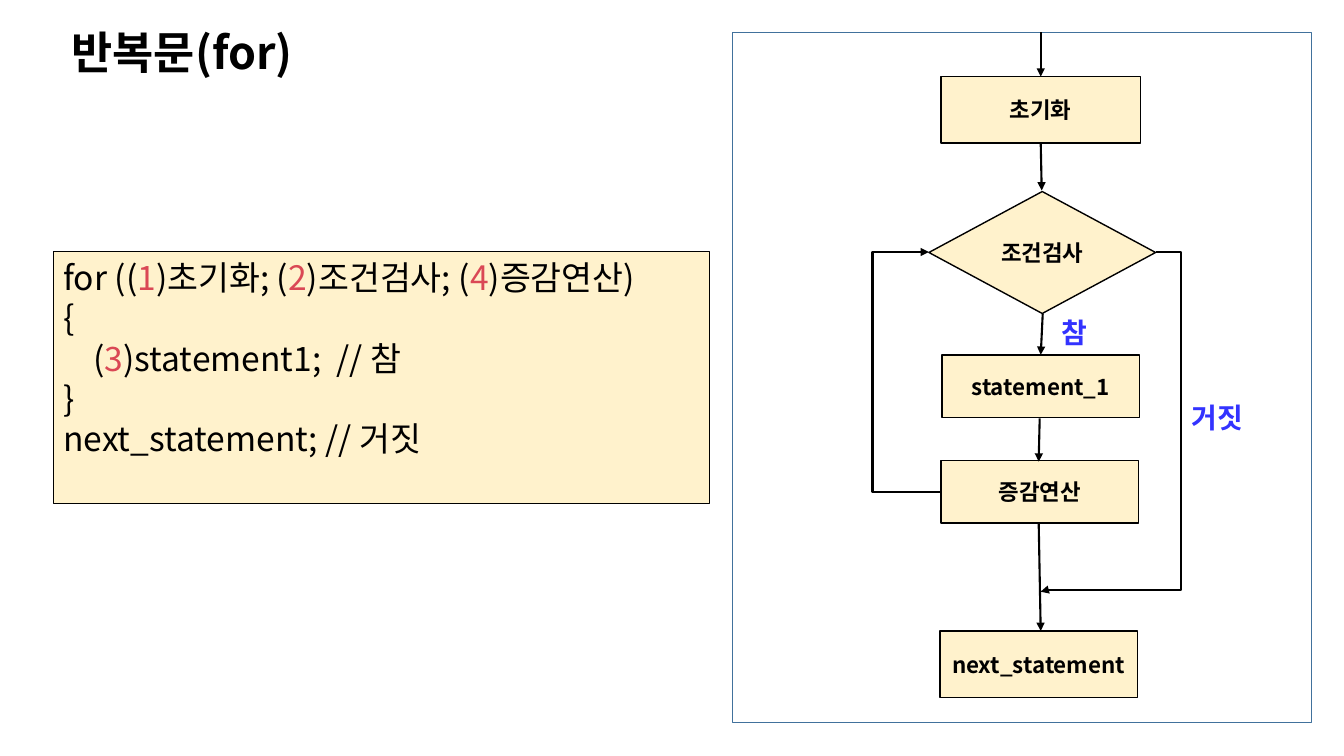
"""Slide on the for loop: its syntax beside its flowchart."""
from dataclasses import dataclass

from lxml.etree import SubElement
from pptx import Presentation
from pptx.dml.color import RGBColor
from pptx.enum.shapes import MSO_CONNECTOR, MSO_SHAPE
from pptx.enum.text import MSO_ANCHOR, MSO_AUTO_SIZE, PP_ALIGN
from pptx.oxml.ns import qn
from pptx.util import Inches, Pt


@dataclass(frozen=True)
class Theme:
    black: RGBColor = RGBColor(0, 0, 0)
    cream: RGBColor = RGBColor(0xFF, 0xF2, 0xCC)
    frame: RGBColor = RGBColor(0x41, 0x71, 0x9C)
    blue: RGBColor = RGBColor(0x33, 0x33, 0xFF)
    red: RGBColor = RGBColor(0xDA, 0x48, 0x55)
    body_font: str = "Noto Sans CJK KR"
    title_font: str = "Noto Sans CJK TC"
    title: Pt = Pt(32)
    code: Pt = Pt(24)
    branch: Pt = Pt(20)
    step: Pt = Pt(16)


T = Theme()


def style(p, size, color=T.black, bold=True, name=T.body_font):
    """Set one paragraph's Latin and East Asian type."""
    f = p.font
    f.size, f.bold, f.name = size, bold, name
    f.color.rgb = color
    SubElement(p._p.pPr.find(qn("a:defRPr")), qn("a:ea"), typeface=name)


def add_box(kind, x, y, w, h, fill=T.cream, line=T.black, width=1):
    """Add an outlined shape without a shadow."""
    sp = s.shapes.add_shape(kind, Inches(x), Inches(y), Inches(w), Inches(h))
    sp.shadow.inherit = False
    if fill is None:
        sp.fill.background()
    else:
        sp.fill.solid()
        sp.fill.fore_color.rgb = fill
    sp.line.color.rgb = line
    sp.line.width = Pt(width)
    return sp


prs = Presentation()
prs.slide_width, prs.slide_height = Inches(13.34), Inches(7.5)
s = prs.slides.add_slide(prs.slide_layouts[5])

add_box(MSO_SHAPE.RECTANGLE, 7.27, 0.32, 5.75, 6.85, None, T.frame)

title = s.shapes.title
title.left, title.top = Inches(0.51), Inches(0.15)
title.width, title.height = Inches(5.97), Inches(0.8)
tf = title.text_frame
tf.text = "반복문(for)"
tf.margin_left = Inches(0.2)
tf.auto_size = MSO_AUTO_SIZE.NONE
tf.vertical_anchor = MSO_ANCHOR.MIDDLE
p = tf.paragraphs[0]
p.alignment, p.line_spacing = PP_ALIGN.LEFT, 0.9
style(p, T.title, name=T.title_font)

PROCESS, DECISION = MSO_SHAPE.FLOWCHART_PROCESS, MSO_SHAPE.FLOWCHART_DECISION
steps = [
    ("초기화", PROCESS, 9.34, 0.76, 1.98, 0.66),
    ("조건검사", DECISION, 9.22, 1.9, 2.25, 1.21),
    ("statement_1", PROCESS, 9.35, 3.52, 1.96, 0.62),
    ("증감연산", PROCESS, 9.34, 4.57, 1.96, 0.62),
    ("next_statement", PROCESS, 9.33, 6.26, 1.96, 0.66),
]
for text, kind, *place in steps:
    tf = add_box(kind, *place).text_frame
    tf.text = text
    tf.word_wrap = True
    tf.vertical_anchor = MSO_ANCHOR.MIDDLE
    p = tf.paragraphs[0]
    p.alignment = PP_ALIGN.CENTER
    style(p, T.step)

for text, x, y, w in [("참", 10.44, 3.08, 0.47), ("거짓", 11.73, 3.92, 0.84)]:
    tf = s.shapes.add_textbox(Inches(x), Inches(y), Inches(w), Inches(0.44)).text_frame
    tf.text = text
    style(tf.paragraphs[0], T.branch, T.blue)

arrows = [
    ("line", 10.33, 0.32, 10.33, 0.76, []),
    ("line", 10.33, 1.42, 10.34, 1.89, []),
    ("line", 10.35, 3.11, 10.33, 3.52, []),
    ("line", 10.32, 4.15, 10.31, 4.58, []),
    ("line", 10.31, 5.19, 10.33, 6.26, []),
    ("bentConnector4", 11.47, 2.5, 10.33, 5.87, [-21900, 99500]),
    ("bentConnector3", 9.34, 4.88, 9.22, 2.5, [566200]),
]
for preset, x1, y1, x2, y2, bends in arrows:
    kind = MSO_CONNECTOR.ELBOW if bends else MSO_CONNECTOR.STRAIGHT
    c = s.shapes.add_connector(kind, Inches(x1), Inches(y1), Inches(x2), Inches(y2))
    c.line.color.rgb = T.black
    c.line.width = Pt(1.5)
    SubElement(c.line._get_or_add_ln(), qn("a:tailEnd"), type="triangle")
    spPr = c._element.spPr
    SubElement(spPr, qn("a:effectLst"))
    geom = spPr.find(qn("a:prstGeom"))
    geom.set("prst", preset)
    for i, bend in enumerate(bends, 1):
        SubElement(geom.find(qn("a:avLst")), qn("a:gd"), name=f"adj{i}", fmla=f"val {bend}")

code = [
    ["for ((", "1", ")초기화; (", "2", ")조건검사; (", "4", ")증감연산)"],
    ["{"],
    ["    (", "3", ")statement1;  // 참"],
    ["}"],
    ["next_statement; // 거짓"],
]
tf = add_box(MSO_SHAPE.RECTANGLE, 0.53, 2.5, 6.51, 2.5, width=0.75).text_frame
tf.word_wrap = True
tf.vertical_anchor = MSO_ANCHOR.TOP
for i, parts in enumerate(code):
    p = tf.add_paragraph() if i else tf.paragraphs[0]
    p.alignment = PP_ALIGN.LEFT
    style(p, T.code, bold=False)
    for part in parts:
        r = p.add_run()
        r.text = part
        if part.isdigit():
            r.font.color.rgb = T.red

prs.save("out.pptx")
